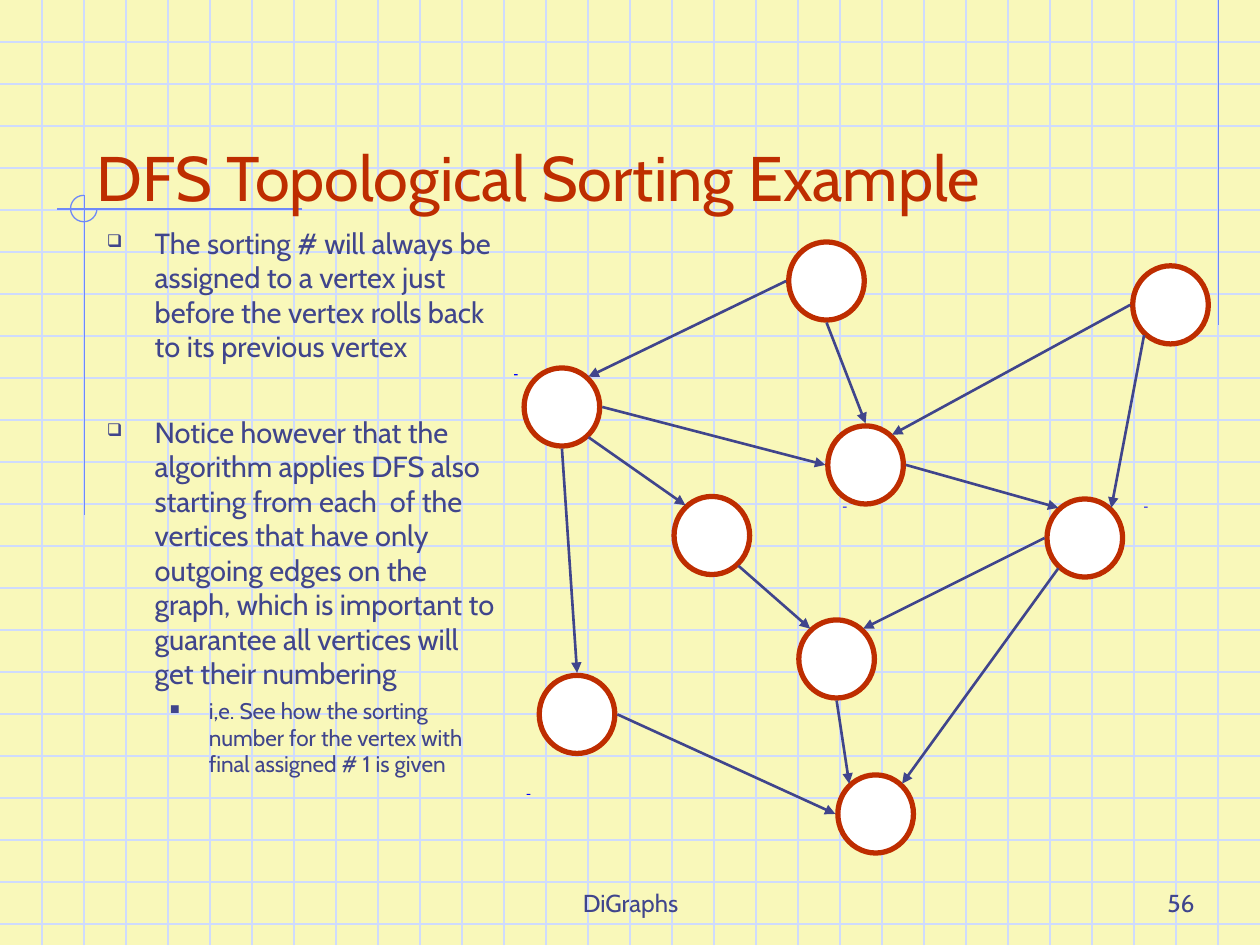
from lxml import etree
from pptx import Presentation
from pptx import util as u
from pptx.dml.color import RGBColor
from pptx.enum import shapes, text
from pptx.oxml.ns import qn

INK, RED, RULE, GRID = "40458C", "BE2D00", "6F89F7", "CFDBFD"
rgb = RGBColor.from_string

prs = Presentation()
prs.slide_width, prs.slide_height = u.Inches(10), u.Inches(7.5)
s = prs.slides.add_slide(prs.slide_layouts[6])
s.background.fill.solid()
s.background.fill.fore_color.rgb = rgb("F9F8BA")


def add_line(x1, y1, x2, y2, color, width=0.75, arrow=False):
    ln = s.shapes.add_connector(shapes.MSO_CONNECTOR.STRAIGHT,
                                *map(u.Inches, (x1, y1, x2, y2)))
    ln.line.color.rgb = rgb(color)
    ln.line.width = u.Pt(width)
    if arrow:
        etree.SubElement(ln.line._get_or_add_ln(), qn("a:tailEnd"), type="triangle")
    etree.SubElement(ln._element.spPr, qn("a:effectLst"))


def add_text(box, anchor, paragraphs):
    """Each paragraph is (text, size, colour, paragraph formats, bullet)."""
    tf = s.shapes.add_textbox(*map(u.Inches, box)).text_frame
    tf.word_wrap = True
    tf.vertical_anchor = anchor
    for i, (words, size, color, formats, bullet) in enumerate(paragraphs):
        p = tf.add_paragraph() if i else tf.paragraphs[0]
        for name, value in formats.items():
            setattr(p, name, value)
        if bullet:
            char, margin, hang = bullet
            pPr = p._p.get_or_add_pPr()
            pPr.set("marL", str(u.Inches(margin)))
            pPr.set("indent", str(-u.Inches(hang)))
            clr = etree.SubElement(pPr, qn("a:buClr"))
            etree.SubElement(clr, qn("a:srgbClr"), val=INK)
            etree.SubElement(pPr, qn("a:buSzPct"), val="60000")
            etree.SubElement(pPr, qn("a:buChar"), char=char)
        r = p.add_run()
        r.text = words
        r.font.name, r.font.size = "Cabin", u.Pt(size)
        r.font.color.rgb = rgb(color)


# Graph paper, three squares to the inch
for i in range(1, 23):
    add_line(0, i / 3, 10, i / 3, GRID)
for i in range(1, 30):
    add_line(i / 3, 0, i / 3, 7.5, GRID)

# Margin rules and corner arc
for ends in [(9.67, 0, 9.67, 2.58), (2.4, 1.66, 0.45, 1.66), (0.67, 1.55, 0.67, 4.09)]:
    add_line(*ends, RULE)
arc = s.shapes.add_shape(shapes.MSO_SHAPE.ARC, *map(u.Inches, (0.56, 1.55, 0.21, 0.21)))
arc.adjustments[0], arc.adjustments[1] = 0, 162  # 0 to 270 degrees
arc.shadow.inherit = False
arc.fill.background()
arc.line.color.rgb = rgb(RULE)
arc.line.width = u.Pt(0.75)

# Footer, slide number and title
bottom = text.MSO_ANCHOR.BOTTOM
add_text((3.42, 6.83, 3.17, 0.5), bottom,
         [("DiGraphs", 14, INK, {"alignment": text.PP_ALIGN.CENTER}, None)])
add_text((7.5, 6.83, 2.08, 0.5), bottom,
         [("56", 14, INK, {"alignment": text.PP_ALIGN.RIGHT}, None)])
add_text((0.67, 0.5, 8.5, 1.25), bottom,
         [("DFS Topological Sorting Example", 36, RED, {}, None)])

# Small dashes beside the graph
for x, y in [(4.08, 2.97), (6.69, 4.02), (9.08, 4.02), (4.18, 6.3)]:
    sp = s.shapes.add_shape(shapes.MSO_SHAPE.RECTANGLE, *map(u.Inches, (x, y, 0.03, 0.01)))
    sp.shadow.inherit = False
    sp.fill.solid()
    sp.fill.fore_color.rgb = rgb("0000FF")
    sp.line.fill.background()

# Vertices, by centre
vertices = {
    "top": (6.56, 2.23), "low": (6.64, 5.23), "mid": (6.87, 3.69),
    "southwest": (4.58, 5.67), "east": (8.61, 4.27), "inner": (5.65, 4.25),
    "northeast": (9.29, 2.42), "west": (4.46, 3.23), "bottom": (6.95, 6.46),
}
for x, y in vertices.values():
    sp = s.shapes.add_shape(shapes.MSO_SHAPE.OVAL,
                            *map(u.Inches, (x - 0.3, y - 0.31, 0.6, 0.62)))
    sp.shadow.inherit = False
    sp.fill.solid()
    sp.fill.fore_color.rgb = rgb("FFFFFF")
    sp.line.color.rgb = rgb(RED)
    sp.line.width = u.Pt(3)

# Directed edges, joined at compass points just outside each vertex
points = {
    "N": (0, -0.33), "S": (0, 0.33), "W": (-0.32, 0), "E": (0.32, 0),
    "NW": (-0.21, -0.24), "NE": (0.21, -0.24), "SW": (-0.21, 0.24), "SE": (0.21, 0.24),
}
edges = [
    ("top", "W", "west", "NE"), ("top", "S", "mid", "N"),
    ("northeast", "W", "mid", "NE"), ("east", "W", "low", "NE"),
    ("east", "SW", "bottom", "NE"), ("southwest", "E", "bottom", "W"),
    ("low", "S", "bottom", "NW"), ("inner", "SE", "low", "NW"),
    ("west", "SE", "inner", "NW"), ("west", "S", "southwest", "N"),
    ("west", "E", "mid", "W"), ("mid", "E", "east", "NW"),
    ("northeast", "SW", "east", "NE"),
]
for start, leave, end, arrive in edges:
    (x1, y1), (dx1, dy1) = vertices[start], points[leave]
    (x2, y2), (dx2, dy2) = vertices[end], points[arrive]
    add_line(x1 + dx1, y1 + dy1, x2 + dx2, y2 + dy2, INK, 1.5, arrow=True)

# Body text
main, sub = ("❑", 0.38, 0.38), ("■", 0.81, 0.31)
add_text((0.75, 1.75, 3.33, 5.75), text.MSO_ANCHOR.TOP, [
    ("The sorting # will always be assigned to a vertex just before the vertex "
     "rolls back to its previous vertex", 16.6, INK, {"line_spacing": 0.99}, main),
    ("Notice however that the algorithm applies DFS also starting from each  of the "
     "vertices that have only outgoing edges on the graph, which is important to "
     "guarantee all vertices will get their numbering", 16.6, INK,
     {"line_spacing": 0.99, "space_before": u.Pt(29)}, main),
    ("i,e. See how the sorting number for the vertex with final assigned # 1 is given",
     12.9, INK, {"line_spacing": 0.99, "space_before": u.Pt(3.5), "level": 1}, sub),
])

prs.save("out.pptx")
